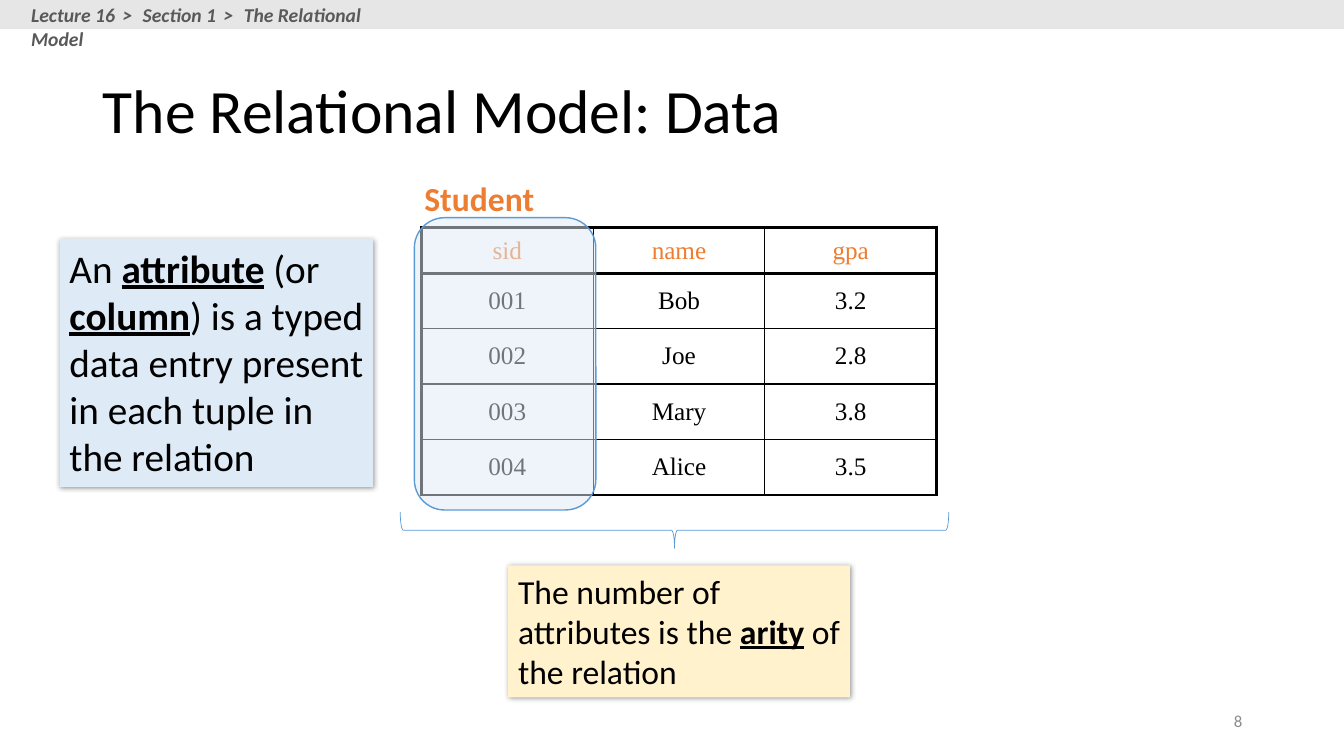
from dataclasses import dataclass

from lxml import etree
from pptx import Presentation
from pptx.dml.color import RGBColor
from pptx.enum.shapes import MSO_SHAPE
from pptx.enum.text import MSO_ANCHOR, MSO_AUTO_SIZE, PP_ALIGN
from pptx.oxml.ns import qn
from pptx.util import Inches, Pt

RECTANGLE = MSO_SHAPE.RECTANGLE
ROUNDED = MSO_SHAPE.ROUNDED_RECTANGLE
BRACE = MSO_SHAPE.LEFT_BRACE
TOP, MIDDLE = MSO_ANCHOR.TOP, MSO_ANCHOR.MIDDLE
LEFT, CENTER, RIGHT = PP_ALIGN.LEFT, PP_ALIGN.CENTER, PP_ALIGN.RIGHT
FIXED, GROW = MSO_AUTO_SIZE.NONE, MSO_AUTO_SIZE.SHAPE_TO_FIT_TEXT
TITLE_ONLY = 5


@dataclass(frozen=True)
class Theme:
    sans: str = "Calibri"
    serif: str = "Times New Roman"
    ink: str = "000000"
    accent: str = "ED7D31"
    outline: str = "5B9BD5"
    pale_blue: str = "DEEBF7"
    pale_yellow: str = "FFF2CC"
    band: str = "E7E6E6"
    breadcrumb: str = "595959"
    number: str = "8C8C8C"
    title_size: float = 44
    definition_size: float = 28
    label_size: float = 24
    cell_size: float = 18
    breadcrumb_size: float = 14
    number_size: float = 12
    thick: float = 2.25
    thin: float = 1


@dataclass(frozen=True)
class Box:
    left: float
    top: float
    width: float
    height: float

    def lengths(self) -> list[int]:
        return [Inches(v) for v in (self.left, self.top, self.width, self.height)]


@dataclass(frozen=True)
class Phrase:
    text: str
    strong: bool = False
    spacing: float = 0


@dataclass(frozen=True)
class Callout:
    box: Box
    fill: str
    size: float
    phrases: list[Phrase]


THEME = Theme()
STUDENTS = [
    ("sid", "name", "gpa"),
    ("001", "Bob", "3.2"),
    ("002", "Joe", "2.8"),
    ("003", "Mary", "3.8"),
    ("004", "Alice", "3.5"),
]
TABLE_BOX = Box(4.18, 2.26, 5.11, 2.66)
HEADER_HEIGHT, ROW_HEIGHT = 0.45, 0.55
CALLOUTS = [
    Callout(Box(0.59, 2.37, 3.11, 2.46), THEME.pale_blue, THEME.definition_size, [
        Phrase("An "), Phrase("attribute", strong=True), Phrase(" (or "),
        Phrase("column", strong=True),
        Phrase(") is a typed data entry present in each tuple in the relation"),
    ]),
    Callout(Box(5.04, 5.61, 3.39, 1.31), THEME.pale_yellow, THEME.label_size, [
        Phrase("The number of attributes is the "), Phrase("arity", strong=True),
        Phrase(" of the relation"),
    ]),
]
SEPARATOR = Phrase(" > ", spacing=2.1)
BREADCRUMB = [Phrase("Lecture 16"), SEPARATOR, Phrase("Section 1"), SEPARATOR,
              Phrase("The Relational Model")]


def write(frame, phrases: list[Phrase], *, size: float, color: str = THEME.ink,
          font: str = THEME.sans, bold: bool = False, italic: bool = False,
          align=LEFT, anchor=TOP, wrap: bool = True, fit=None,
          line_spacing: float | None = None, before: float = 0) -> None:
    frame.word_wrap = wrap
    frame.vertical_anchor = anchor
    if fit is not None:
        frame.auto_size = fit
    paragraph = frame.paragraphs[0]
    paragraph.alignment = align
    paragraph.line_spacing = line_spacing
    paragraph.space_before = Pt(before)
    for phrase in phrases:
        run = paragraph.add_run()
        run.text = phrase.text
        run.font.name = font
        run.font.size = Pt(size)
        run.font.bold = bold or phrase.strong
        run.font.italic = italic
        run.font.underline = phrase.strong
        run.font.color.rgb = RGBColor.from_string(color)
        if phrase.spacing:
            run._r.get_or_add_rPr().set("spc", str(round(phrase.spacing * 100)))


def add_panel(shapes, kind, box: Box, fill: str | None = None,
              line: str | None = None, line_width: float = 1):
    panel = shapes.add_shape(kind, *box.lengths())
    panel.shadow.inherit = False
    if fill:
        panel.fill.solid()
        panel.fill.fore_color.rgb = RGBColor.from_string(fill)
    else:
        panel.fill.background()
    if line:
        panel.line.color.rgb = RGBColor.from_string(line)
        panel.line.width = Pt(line_width)
    else:
        panel.line.fill.background()
    return panel


def add_color(parent, color: str, alpha: int | None = None) -> None:
    node = etree.SubElement(parent, qn("a:srgbClr"), val=color)
    if alpha is not None:
        etree.SubElement(node, qn("a:alpha"), val=str(alpha * 1000))


def add_callout(shapes, callout: Callout) -> None:
    panel = add_panel(shapes, RECTANGLE, callout.box, callout.fill)
    effects = panel._element.spPr.find(qn("a:effectLst"))
    shadow = etree.SubElement(effects, qn("a:outerShdw"), blurRad=str(Pt(4)),
                              dist=str(Pt(1)), dir=str(45 * 60000), rotWithShape="0")
    add_color(shadow, THEME.ink, 40)
    write(panel.text_frame, callout.phrases, size=callout.size, fit=GROW)


def set_borders(cell, widths: dict[str, float]) -> None:
    properties = cell._tc.get_or_add_tcPr()
    for side, width in widths.items():
        border = etree.SubElement(properties, qn(f"a:ln{side}"), w=str(Pt(width)))
        add_color(etree.SubElement(border, qn("a:solidFill")), THEME.ink)


def add_student_table(shapes) -> None:
    last_row, last_column = len(STUDENTS) - 1, len(STUDENTS[0]) - 1
    table = shapes.add_table(last_row + 1, last_column + 1, *TABLE_BOX.lengths()).table
    table.first_row = table.horz_banding = False
    for column in table.columns:
        column.width = Inches(TABLE_BOX.width / (last_column + 1))
    for r, record in enumerate(STUDENTS):
        table.rows[r].height = Inches(ROW_HEIGHT if r else HEADER_HEIGHT)
        for c, value in enumerate(record):
            cell = table.cell(r, c)
            thick_sides = {"L": c == 0, "R": c == last_column,
                           "T": r <= 1, "B": r in (0, last_row)}
            set_borders(cell, {side: THEME.thick if thick else THEME.thin
                               for side, thick in thick_sides.items()})
            cell.fill.background()
            cell.vertical_anchor = MIDDLE
            write(cell.text_frame, [Phrase(value)], size=THEME.cell_size,
                  color=THEME.ink if r else THEME.accent, font=THEME.serif,
                  align=CENTER, anchor=MIDDLE, before=3.6)


def add_label(shapes, box: Box, phrases: list[Phrase], **text_format) -> None:
    write(shapes.add_textbox(*box.lengths()).text_frame, phrases, **text_format)


def main() -> None:
    deck = Presentation()
    deck.slide_width, deck.slide_height = Inches(13.33), Inches(7.5)
    slide = deck.slides.add_slide(deck.slide_layouts[TITLE_ONLY])
    shapes = slide.shapes

    title = shapes.title
    title.left, title.top, title.width, title.height = Box(0.92, 0.4, 11.5, 1.45).lengths()
    write(title.text_frame, [Phrase("The Relational Model: Data")], size=THEME.title_size,
          anchor=MIDDLE, fit=FIXED, line_spacing=0.9)
    add_label(shapes, Box(9.42, 6.95, 3, 0.4), [Phrase("8")], size=THEME.number_size,
              color=THEME.number, align=RIGHT, anchor=MIDDLE)

    add_student_table(shapes)
    add_label(shapes, Box(4.11, 1.72, 1.31, 0.5), [Phrase("Student")], size=THEME.label_size,
              color=THEME.accent, bold=True, wrap=False, fit=GROW)
    for callout in CALLOUTS:
        add_callout(shapes, callout)

    sid_highlight = add_panel(shapes, ROUNDED, Box(4.11, 2.16, 1.8, 2.9),
                              THEME.pale_blue, THEME.outline)
    highlight_color = sid_highlight._element.spPr.find(qn("a:solidFill"))[0]
    etree.SubElement(highlight_color, qn("a:alpha"), val="50000")
    arity_brace = add_panel(shapes, BRACE, Box(6.51, 2.54, 0.36, 5.44),
                            line=THEME.outline, line_width=0.5)
    arity_brace.rotation = 270

    header = shapes.add_group_shape().shapes
    add_panel(header, RECTANGLE, Box(0, 0, 13.33, 0.29), THEME.band)
    add_label(header, Box(0.21, -0.02, 3.96, 0.34), BREADCRUMB, size=THEME.breadcrumb_size,
              color=THEME.breadcrumb, bold=True, italic=True)
    deck.save("out.pptx")


if __name__ == "__main__":
    main()
